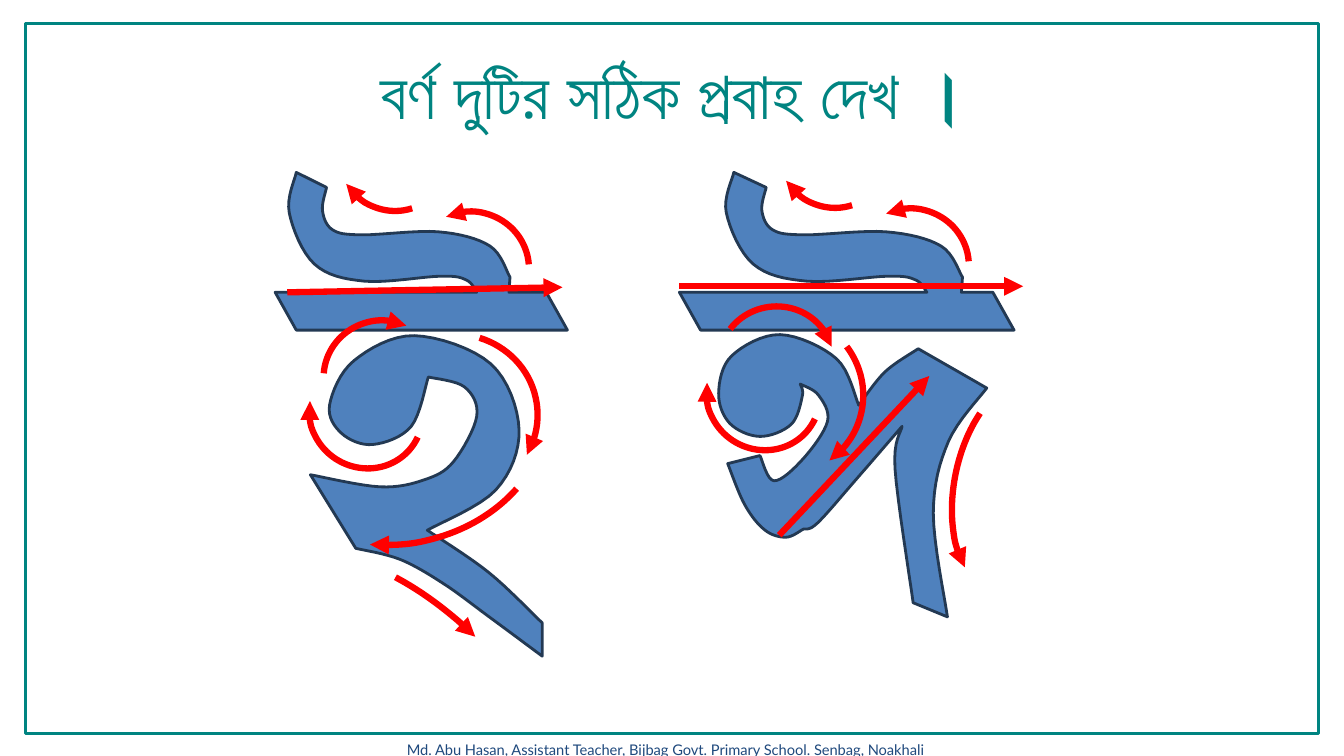
from lxml.etree import SubElement
from pptx import Presentation
from pptx.dml.color import RGBColor
from pptx.enum.shapes import MSO_CONNECTOR, MSO_SHAPE
from pptx.enum.text import MSO_AUTO_SIZE, PP_ALIGN
from pptx.oxml.ns import qn
from pptx.util import Pt

TEAL = RGBColor(0x00, 0x84, 0x81)
NAVY = RGBColor(0x1F, 0x49, 0x7D)
BLUE = RGBColor(0x4F, 0x81, 0xBD)
EDGE = RGBColor(0x23, 0x39, 0x53)
RED = RGBColor(0xFF, 0x00, 0x00)

# Texts: words, box in points, font format, colour
FOOTER = ("Md. Abu Hasan, Assistant Teacher, Bijbag Govt. Primary School. Senbag, Noakhali",
          (252, 525.6, 447.1, 20.2), {"size": Pt(10.5), "name": "Lato"}, NAVY)
TITLE = ("বর্ণ দুটির সঠিক প্রবাহ দেখ ।",
         (126, 33.8, 707.8, 65.5), {"size": Pt(48), "name": "Lato", "bold": True}, TEAL)
FRAME = (18, 16.6, 923.8, 507.6)

# Letter outlines on a grid of 0.72 points. Each run is a smooth curve that
# goes on from the end of the run before; a run of one point is a straight edge.
GRID = 0.72
CURVE_STEPS = 8
HOOK_LEFT = 294
HOOK_OUT = [(320, 209), (330, 228), (359, 233), (435, 230), (486, 244), (506, 275)]
HOOK_BACK = [(463, 278), (438, 274), (362, 279), (312, 262), (287, 211), (294, 171)]
BAR_TOP, BAR_BOTTOM, BAR_SLANT = 290, 327.5, 21
# Hook position, hook width factor, bar left, bar right
TOPS = [(728, 1.07, 674, 985), (294, 1, 273, 542)]
RIGHT_BODY = [
    [(878, 369), (911, 346)],
    [(979, 385)],
    [(941, 438), (926, 509), (940, 612)],
    [(906, 598)],
    [(888, 465), (895, 423)],
    [(850, 475), (811, 519), (797, 525)],
    [(780, 533), (759, 526), (739, 501), (722, 460)],
    [(754, 452)],
    [(768, 477), (797, 455), (821, 418), (812, 392), (794, 381)],
    [(796, 393), (785, 421), (754, 433), (724, 420), (713, 390), (726, 353),
     (774, 332), (830, 356), (852, 402)],
]
LEFT_BODY = [
    [(492, 486), (515, 426), (487, 361), (411, 333), (351, 358), (327, 402),
     (339, 430), (370, 441), (408, 423), (425, 374)],
    [(461, 384), (473, 413), (450, 458), (421, 476), (377, 483), (308, 471)],
    [(353, 544)],
    [(397, 555), (440, 579), (484, 611), (538, 651)],
    [(538, 618)],
    [(485, 568), (424, 526)],
]

# Straight arrows: begin x, begin y, end x, end y
STRAIGHT_ARROWS = [
    (205.2, 208.8, 401.8, 205.2),
    (485.3, 204.5, 730.8, 204.5),
    (556.6, 382.3, 663.8, 268.6),
]
# Curved arrows: left, top, size, rotation, mirrored, arc adjustments
SMALL = (82.1, 79.2)
ROUND = (117.4, 122.4)
QUARTER = (120.36, 188.84)
BOWL = (103.22, 202.76)
BODY_ARROWS = [
    (220.3, 254.9, SMALL, 213.5, False, BOWL),
    (231.1, 229, SMALL, 342.1, False, QUARTER),
    (264.2, 236.2, ROUND, 77.2, False, (127.27, 185.98)),
    (157, 150.5, (223.2, 253.4), 100.5, False, (177.06, 211.03)),
    (218.9, 432, (169.9, 53.3), 39.1, False, (123.66, 188.84)),
    (504, 241.9, SMALL, 213.5, False, BOWL),
    (513.4, 218.9, SMALL, 352.3, False, (133.91, 211.37)),
    (496.8, 220.3, ROUND, 102.1, False, (133.98, 185.98)),
    (648.7, 302.4, (154.8, 88.6), 281.8, True, (131.17, 203.72)),
]
# The two hook arrows stand above both letters
HOOK_ARROWS = [
    (295.9, 151.2, SMALL, 17.9, True, QUARTER),
    (239.8, 70.6, SMALL, 230, False, (120.36, 166.68)),
]
LETTER_SHIFTS = [(0, 0), (314.2, -2.2)]


def letter_top(position, factor, bar_left, bar_right):
    """Return the runs of a hook standing on a slanted bar."""
    def place(points):
        return [(position + factor * (x - HOOK_LEFT), y) for x, y in points]

    bar = [(bar_right, BAR_TOP), (bar_right + BAR_SLANT, BAR_BOTTOM),
           (bar_left + BAR_SLANT, BAR_BOTTOM), (bar_left, BAR_TOP)]
    corners = place([(505, BAR_TOP)]) + bar + place([(473, BAR_TOP)])
    return [place([(324, 186)]), place(HOOK_OUT), *([corner] for corner in corners),
            place(HOOK_BACK)]


def smooth(points):
    """Return short steps of a curve that passes through all the points."""
    guides = [points[0], *points, points[-1]]
    steps = []
    for before, start, end, after in zip(guides, guides[1:], guides[2:], guides[3:]):
        for step in range(1, CURVE_STEPS + 1):
            t = step / CURVE_STEPS
            steps.append(tuple(
                b + t * (c - a + t * (2 * a - 5 * b + 4 * c - d + t * (3 * (b - c) + d - a))) / 2
                for a, b, c, d in zip(before, start, end, after)))
    return steps


def trace(runs):
    """Return the corner points of a closed outline in slide lengths."""
    points = [runs[-1][-1]]
    for run in runs:
        points += run if len(run) == 1 else smooth([points[-1], *run])
    return [(Pt(x * GRID), Pt(y * GRID)) for x, y in points]


def set_line(shape, color, width):
    shape.line.color.rgb = color
    shape.line.width = Pt(width)


def make_arrow(shape):
    set_line(shape, RED, 4.5)
    SubElement(shape.element.spPr.find(qn("a:ln")), qn("a:tailEnd"), type="triangle")


def add_curved_arrow(slide, left, top, size, rotation, mirrored, adjustments):
    arrow = slide.shapes.add_shape(MSO_SHAPE.ARC, *map(Pt, (left, top, *size)))
    arrow.shadow.inherit = False
    arrow.fill.background()
    arrow.rotation = rotation
    for index, value in enumerate(adjustments):
        arrow.adjustments[index] = value
    if mirrored:
        arrow.element.spPr.find(qn("a:xfrm")).set("flipH", "1")
    make_arrow(arrow)


def add_text(slide, words, box, font_format, color):
    frame = slide.shapes.add_textbox(*map(Pt, box)).text_frame
    frame.word_wrap = True
    frame.auto_size = MSO_AUTO_SIZE.SHAPE_TO_FIT_TEXT
    paragraph = frame.paragraphs[0]
    paragraph.alignment = PP_ALIGN.CENTER
    run = paragraph.add_run()
    run.text = words
    for name, value in font_format.items():
        setattr(run.font, name, value)
    run.font.color.rgb = color


def main():
    presentation = Presentation()
    presentation.slide_width, presentation.slide_height = Pt(960), Pt(540)
    slide = presentation.slides.add_slide(presentation.slide_layouts[6])
    add_text(slide, *FOOTER)

    # Letters
    for runs in [*(letter_top(*top) for top in TOPS), RIGHT_BODY, LEFT_BODY]:
        start, *others = trace(runs)
        builder = slide.shapes.build_freeform(*start)
        builder.add_line_segments(others, close=True)
        letter = builder.convert_to_shape()
        letter.shadow.inherit = False
        letter.fill.solid()
        letter.fill.fore_color.rgb = BLUE
        set_line(letter, EDGE, 2)

    # Frame
    frame = slide.shapes.add_shape(MSO_SHAPE.RECTANGLE, *map(Pt, FRAME))
    frame.shadow.inherit = False
    frame.fill.background()
    set_line(frame, TEAL, 2)

    # Stroke arrows
    for ends in STRAIGHT_ARROWS:
        arrow = slide.shapes.add_connector(MSO_CONNECTOR.STRAIGHT, *map(Pt, ends))
        make_arrow(arrow)
        SubElement(arrow.element.spPr, qn("a:effectLst"))
    for curved_arrow in BODY_ARROWS:
        add_curved_arrow(slide, *curved_arrow)
    for across, down in LETTER_SHIFTS:
        for left, top, *form in HOOK_ARROWS:
            add_curved_arrow(slide, left + across, top + down, *form)

    add_text(slide, *TITLE)
    presentation.save("out.pptx")


if __name__ == "__main__":
    main()
